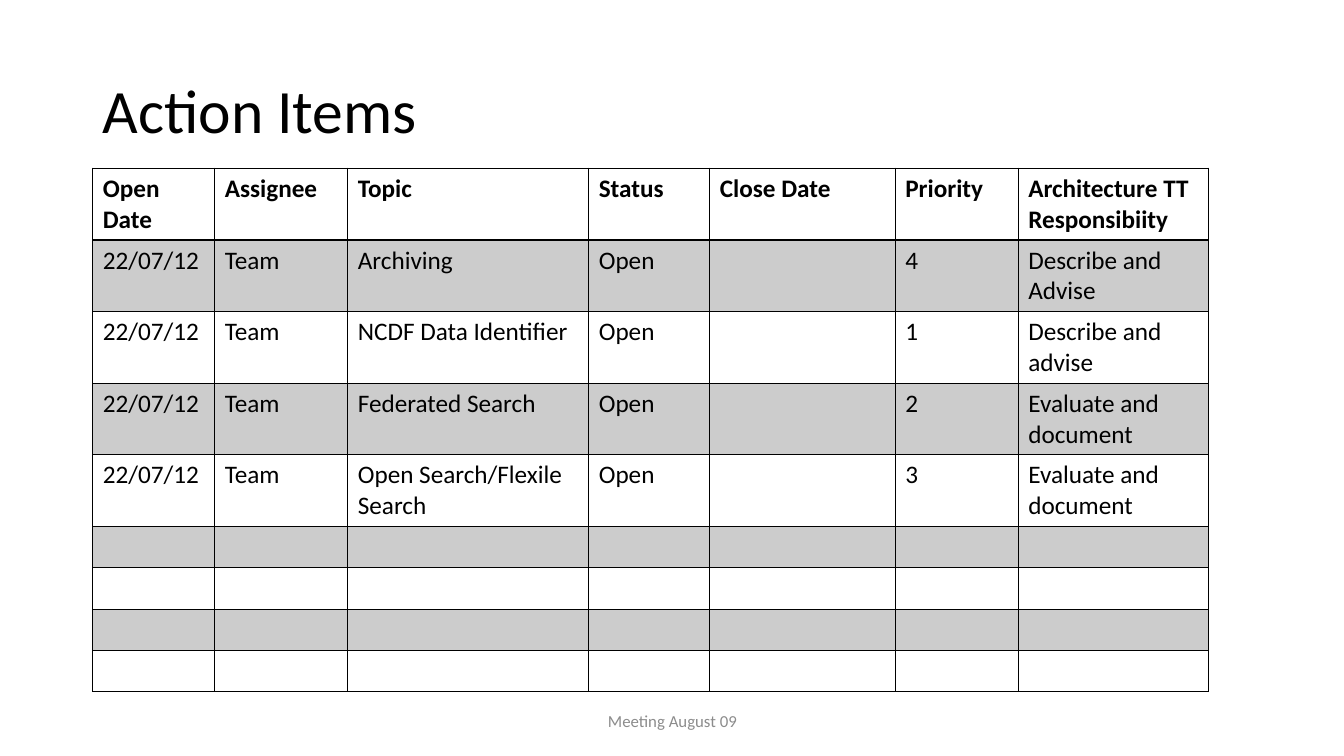
import lxml.etree
import pptx
import pptx.dml.color
import pptx.enum.text
import pptx.oxml.ns
import pptx.util

Inches = pptx.util.Inches
FONT = "Calibri"
BLACK, WHITE, BAND, GRAY = "000000", "FFFFFF", "CCCCCC", "8C8C8C"
COLUMN_WIDTHS = [1.21, 1.32, 2.39, 1.2, 1.84, 1.22, 1.89]
ROW_HEIGHT = 0.41
EMPTY_ROWS = 4
HEADERS = ["Open Date", "Assignee", "Topic", "Status", "Close Date", "Priority",
           "Architecture TT Responsibiity"]
ACTIONS = [
    ("Archiving", "4", "Describe and Advise"),
    ("NCDF Data Identifier", "1", "Describe and advise"),
    ("Federated Search", "2", "Evaluate and document"),
    ("Open Search/Flexile Search", "3", "Evaluate and document"),
]


def rgb(color):
    return pptx.dml.color.RGBColor.from_string(color)


def format_paragraph(paragraph, size, color=BLACK, bold=False):
    paragraph.font.name = FONT
    paragraph.font.size = pptx.util.Pt(size)
    paragraph.font.color.rgb = rgb(color)
    paragraph.font.bold = bold


def place(shape, left, top, width, height):
    shape.left, shape.top = Inches(left), Inches(top)
    shape.width, shape.height = Inches(width), Inches(height)


def add_title(slide, text):
    title = slide.shapes.title
    place(title, 0.92, 0.4, 11.5, 1.45)
    frame = title.text_frame
    frame.text = text
    frame.auto_size = pptx.enum.text.MSO_AUTO_SIZE.NONE
    frame.vertical_anchor = pptx.enum.text.MSO_ANCHOR.MIDDLE
    paragraph = frame.paragraphs[0]
    paragraph.alignment = pptx.enum.text.PP_ALIGN.LEFT
    paragraph.line_spacing = 0.9
    format_paragraph(paragraph, 44)


def set_borders(cell, widths):
    properties = cell._tc.get_or_add_tcPr()
    qn = pptx.oxml.ns.qn
    for side, width in widths.items():
        line = lxml.etree.SubElement(properties, qn(f"a:ln{side}"), w=str(pptx.util.Pt(width)))
        fill = lxml.etree.SubElement(line, qn("a:solidFill"))
        lxml.etree.SubElement(fill, qn("a:srgbClr"), val=BLACK)


def fill_cell(cell, text, row_index):
    set_borders(cell, {"L": 1, "R": 1, "T": 2 if row_index == 1 else 1,
                       "B": 2 if row_index == 0 else 1})
    cell.fill.solid()
    cell.fill.fore_color.rgb = rgb(BAND if row_index % 2 else WHITE)
    cell.text = text
    format_paragraph(cell.text_frame.paragraphs[0], 18, bold=row_index == 0)


def add_action_table(slide):
    rows = [HEADERS]
    rows += [["22/07/12", "Team", topic, "Open", "", priority, responsibility]
             for topic, priority, responsibility in ACTIONS]
    rows += [[""] * len(HEADERS)] * EMPTY_ROWS
    table = slide.shapes.add_table(
        len(rows), len(HEADERS), Inches(0.92), Inches(1.67),
        Inches(sum(COLUMN_WIDTHS)), Inches(ROW_HEIGHT * len(rows))).table
    for column, width in zip(table.columns, COLUMN_WIDTHS):
        column.width = Inches(width)
    for row_index, texts in enumerate(rows):
        table.rows[row_index].height = Inches(ROW_HEIGHT)
        for column_index, text in enumerate(texts):
            fill_cell(table.cell(row_index, column_index), text, row_index)


def add_footer(slide, text):
    footer = slide.shapes.add_textbox(Inches(4.42), Inches(6.95), Inches(4.5), Inches(0.4))
    frame = footer.text_frame
    frame.word_wrap = True
    frame.vertical_anchor = pptx.enum.text.MSO_ANCHOR.MIDDLE
    frame.text = text
    paragraph = frame.paragraphs[0]
    paragraph.alignment = pptx.enum.text.PP_ALIGN.CENTER
    format_paragraph(paragraph, 12, GRAY)


def main():
    presentation = pptx.Presentation()
    presentation.slide_width, presentation.slide_height = Inches(13.33), Inches(7.5)
    slide = presentation.slides.add_slide(presentation.slide_layouts.get_by_name("Title Only"))
    add_title(slide, "Action Items")
    add_action_table(slide)
    add_footer(slide, "Meeting August 09")
    presentation.save("out.pptx")


if __name__ == "__main__":
    main()
